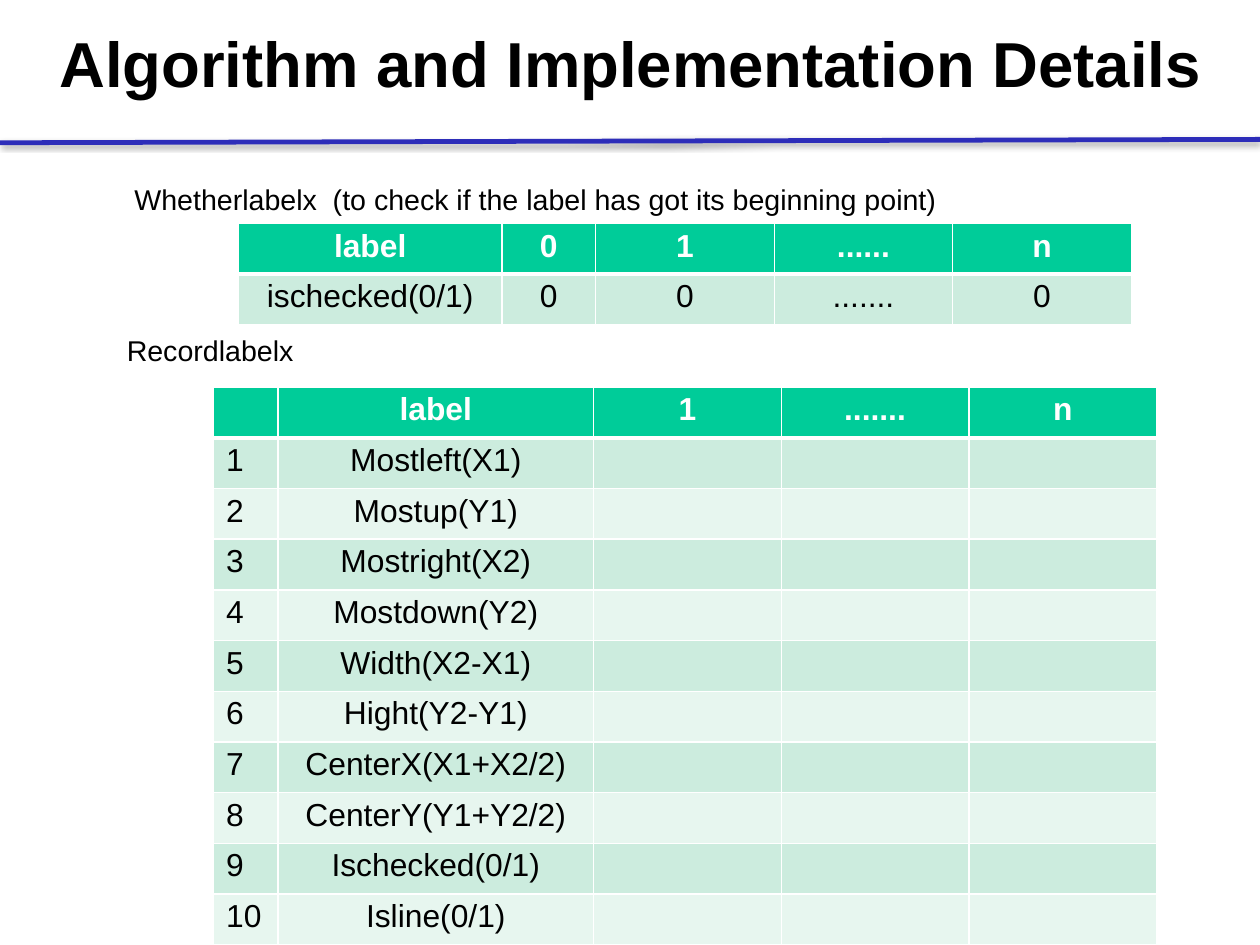
from dataclasses import dataclass

from lxml.etree import SubElement as Sub
from pptx import Presentation
from pptx.dml.color import RGBColor as Rgb
from pptx.enum.shapes import MSO_CONNECTOR as Conn
from pptx.enum.text import MSO_AUTO_SIZE as Auto, PP_ALIGN as Align
from pptx.oxml import parse_xml as to_xml
from pptx.oxml.ns import nsdecls, qn
from pptx.util import Inches, Pt

WIDE, HIGH = Pt(793.75), Pt(595.25)
FONT = "Arial"
INK = {
    "text": "000000", "white": "FFFFFF", "head": "00CC99",
    "odd": "CCECDE", "even": "E7F6EF", "rule": "2D2DB9",
}


@dataclass
class Box:
    """Place and size in percent of the slide."""
    left: float
    top: float
    width: float
    height: float

    def emu(self) -> tuple[int, int, int, int]:
        return (across(self.left), down(self.top),
                across(self.width), down(self.height))


@dataclass
class Label:
    box: Box
    text: str
    size: int
    bold: bool = False
    align: Align = Align.LEFT


@dataclass
class Grid:
    """Columns are percent of the table's width."""
    box: Box
    cols: list[float]
    rows: list[list[str]]
    left: int = 0  # count of left-aligned columns


def across(share: float) -> int:
    return round(WIDE * share / 100)


def down(share: float) -> int:
    return round(HIGH * share / 100)


def write(frame, text: str, size: int, ink: str, bold: bool, align: Align) -> None:
    para = frame.paragraphs[0]
    para.alignment = align
    para.line_spacing = 0.93
    run = para.add_run()
    run.text = text
    font = run.font
    font.name, font.size, font.bold = FONT, Pt(size), bold
    font.color.rgb = Rgb.from_string(INK[ink])


def add_label(slide, label: Label) -> None:
    frame = slide.shapes.add_textbox(*label.box.emu()).text_frame
    frame.word_wrap = True
    frame.auto_size = Auto.SHAPE_TO_FIT_TEXT
    write(frame, label.text, label.size, "text", label.bold, label.align)


def edge(cell, row: int) -> None:
    """White cell borders, thick between the head and the body."""
    props = cell._tc.get_or_add_tcPr()
    thick = {("lnB", 0), ("lnT", 1)}
    for spot, side in enumerate(("lnL", "lnR", "lnT", "lnB")):
        width = Pt(3 if (side, row) in thick else 1)
        line = to_xml(f'<a:{side} {nsdecls("a")} w="{width}"><a:solidFill>'
                      f'<a:srgbClr val="{INK["white"]}"/></a:solidFill></a:{side}>')
        props.insert(spot, line)


def add_grid(slide, grid: Grid) -> None:
    left, top, width, height = grid.box.emu()
    count = len(grid.rows)
    table = slide.shapes.add_table(
        count, len(grid.cols), left, top, width, height).table
    table.first_row = table.horz_banding = False
    for col, share in zip(table.columns, grid.cols):
        col.width = round(width * share / 100)
    for row, texts in enumerate(grid.rows):
        table.rows[row].height = height // count
        head = row == 0
        fill = "head" if head else ("even", "odd")[row % 2]
        for col, text in enumerate(texts):
            cell = table.cell(row, col)
            cell.margin_left = cell.margin_right = Inches(0.11)
            cell.margin_top = cell.margin_bottom = Pt(4.6)
            cell.fill.solid()
            cell.fill.fore_color.rgb = Rgb.from_string(INK[fill])
            edge(cell, row)
            if text:
                align = Align.LEFT if col < grid.left else Align.CENTER
                write(cell.text_frame, text, 20,
                      "white" if head else "text", head, align)


def add_rule(slide, start: float, end: float) -> None:
    line = slide.shapes.add_connector(
        Conn.STRAIGHT, 0, down(start), WIDE, down(end))
    line.line.width = Pt(3)
    line.line.color.rgb = Rgb.from_string(INK["rule"])
    # Soft shadow straight below the rule
    glow = Sub(line._element.spPr, qn("a:effectLst"))
    shade = Sub(glow, qn("a:outerShdw"), blurRad=str(Pt(3.1)),
                dist=str(Pt(1.8)), dir="5400000", rotWithShape="0")
    tint = Sub(shade, qn("a:srgbClr"), val=INK["text"])
    Sub(tint, qn("a:alpha"), val="35000")


LABELS = [
    Label(Box(5.43, 19.03, 74.14, 4.6),
          "Whetherlabelx  (to check if the label has got its beginning point)",
          18, align=Align.CENTER),
    Label(Box(9.17, 34.95, 17.8, 4.6), "Recordlabelx", 18),
    Label(Box(3.81, 2.66, 104.36, 16.32),
          "Algorithm and Implementation Details", 40, bold=True),
]

FIELDS = [
    "Mostleft(X1)", "Mostup(Y1)", "Mostright(X2)", "Mostdown(Y2)",
    "Width(X2-X1)", "Hight(Y2-Y1)", "CenterX(X1+X2/2)", "CenterY(Y1+Y2/2)",
    "Ischecked(0/1)", "Isline(0/1)",
]

GRIDS = [
    Grid(Box(18.93, 23.65, 70.87, 10.73), [29.5, 10.5, 20, 20, 20],
         [["label", "0", "1", "......", "n"],
          ["ischecked(0/1)", "0", "0", ".......", "0"]]),
    Grid(Box(16.95, 40.97, 74.86, 59.03), [6.85, 33.45, 19.9, 19.9, 19.9],
         [["", "label", "1", ".......", "n"]]
         + [[str(num), name, "", "", ""] for num, name in enumerate(FIELDS, 1)],
         left=1),
]


def main() -> None:
    deck = Presentation()
    deck.slide_width, deck.slide_height = WIDE, HIGH
    slide = deck.slides.add_slide(deck.slide_layouts[6])
    # Tables
    for grid in GRIDS:
        add_grid(slide, grid)
    # Title and captions
    for label in LABELS:
        add_label(slide, label)
    # Rule below the title
    add_rule(slide, 15.11, 14.75)
    deck.save("out.pptx")


if __name__ == "__main__":
    main()
